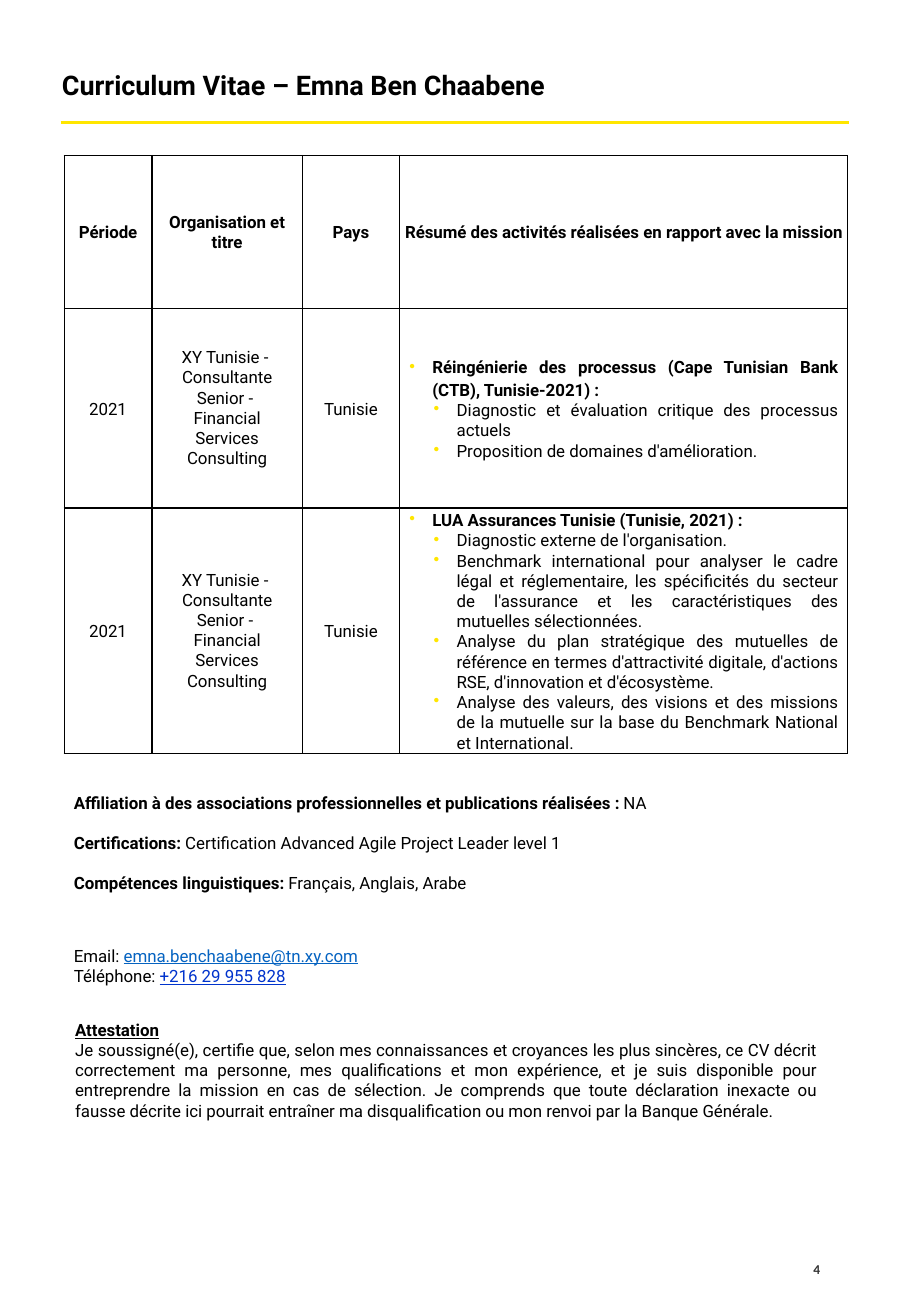
from dataclasses import dataclass
from typing import Any

from lxml.etree import SubElement as Sub
from pptx import Presentation
from pptx.dml.color import RGBColor as RGB
from pptx.enum.shapes import MSO_CONNECTOR as Link
from pptx.enum.text import MSO_ANCHOR as Anchor, MSO_AUTO_SIZE as Auto, PP_ALIGN as Align
from pptx.oxml.ns import qn
from pptx.util import Inches, Pt


@dataclass(frozen=True)
class Theme:
    font: str = "Roboto"
    foot: str = "Calibri"
    black: str = "000000"
    gray: str = "333333"
    gold: str = "FFE600"
    mail: str = "0563C1"
    phone: str = "0033CC"
    head: float = 16
    body: float = 10
    small: float = 8


T = Theme()


@dataclass(frozen=True)
class Run:
    text: str
    bold: bool = False
    line: bool = False
    color: str = T.black
    size: float = T.body
    font: str = T.font


@dataclass(frozen=True)
class Para:
    runs: tuple[Run, ...]
    align: Any = Align.JUSTIFY
    lead: Any = Pt(12)
    after: float = 0
    level: int = -1  # bullet level, -1 for none


@dataclass(frozen=True)
class Box:
    left: float
    top: float
    width: float
    height: float
    paras: tuple[Para, ...]
    inset: tuple[float, float] = (0.1, 0.05)
    anchor: Any = Anchor.TOP


def apply(item: Any, form: dict[str, Any]) -> None:
    for key, value in form.items():
        setattr(item, key, value)


def margins(side: float, edge: float) -> dict[str, Any]:
    return {"margin_left": Inches(side), "margin_right": Inches(side),
            "margin_top": Inches(edge), "margin_bottom": Inches(edge)}


def bullet(para: Any, level: int) -> None:
    para.level = level
    props = para._p.get_or_add_pPr()
    props.set("marL", str(Inches(0.19 + 0.2 * level)))
    props.set("indent", str(Inches(-0.19)))
    tint = Sub(props, qn("a:buClr"))
    Sub(tint, qn("a:srgbClr"), val=T.gold)
    Sub(props, qn("a:buChar"), char="•")


def write(frame: Any, paras: tuple[Para, ...]) -> None:
    for i, para in enumerate(paras):
        p = frame.add_paragraph() if i else frame.paragraphs[0]
        apply(p, {"alignment": para.align, "line_spacing": para.lead,
                  "space_before": Pt(0), "space_after": Pt(para.after)})
        if para.level >= 0:
            bullet(p, para.level)
        for run in para.runs:
            r = p.add_run()
            r.text = run.text
            apply(r.font, {"name": run.font, "size": Pt(run.size),
                           "bold": run.bold, "underline": run.line})
            r.font.color.rgb = RGB.from_string(run.color)


def place(shape: Any, box: Box) -> None:
    apply(shape, {"left": Inches(box.left), "top": Inches(box.top),
                  "width": Inches(box.width), "height": Inches(box.height)})
    frame = shape.text_frame
    apply(frame, {"word_wrap": True, "auto_size": Auto.NONE,
                  "vertical_anchor": box.anchor, **margins(*box.inset)})
    write(frame, box.paras)


def border(cell: Any) -> None:
    props = cell._tc.get_or_add_tcPr()
    for i, side in enumerate(("a:lnL", "a:lnR", "a:lnT", "a:lnB")):
        edge = Sub(props, qn(side), w=str(Pt(1)))
        Sub(Sub(edge, qn("a:solidFill")), qn("a:srgbClr"), val=T.black)
        props.insert(i, edge)


def center(*lines: str, bold: bool = False, lead: Any = Pt(12)) -> tuple[Para, ...]:
    return tuple(Para((Run(line, bold),), Align.CENTER, lead) for line in lines)


def tasks(name: str, *items: str) -> tuple[Para, ...]:
    first = Para((Run(name, True),), lead=1.15, level=0)
    return (first, *(Para((Run(item),), level=1) for item in items))


def label(name: str, value: str, after: float = 0) -> Para:
    return Para((Run(name, True), Run(value)), after=after)


def grid(slide: Any, rows: list[tuple]) -> None:
    widths, heights = (0.72, 1.24, 0.8, 3.69), (1.26, 1.64, 2.02)
    shape = slide.shapes.add_table(len(rows), len(widths), Inches(0.53), Inches(1.28),
                                   Inches(sum(widths)), Inches(sum(heights)))
    table = shape.table
    apply(table, {"first_row": False, "horz_banding": False})
    for col, width in zip(table.columns, widths):
        col.width = Inches(width)
    for i, (row, height) in enumerate(zip(table.rows, heights)):
        row.height = Inches(height)
        for j, (cell, paras) in enumerate(zip(row.cells, rows[i])):
            side = 0.02 if i == 0 else 0.08 if j == 3 else 0.07
            apply(cell, {"vertical_anchor": Anchor.MIDDLE, **margins(side, 0)})
            cell.fill.background()
            border(cell)
            write(cell.text_frame, paras)


# Table content
HEADS = ("Période", "Organisation et titre", "Pays",
         "Résumé des activités réalisées en rapport avec la mission")
POST = (center("2021", lead=1.15),
        center("XY Tunisie - ", "Consultante Senior - ", "Financial Services Consulting"),
        center("Tunisie", lead=1.15))
ROWS = [
    tuple(center(head, bold=True) for head in HEADS),
    (*POST, tasks("Réingénierie des processus (Cape Tunisian Bank (CTB), Tunisie-2021) : ",
                  "Diagnostic et évaluation critique des processus actuels",
                  "Proposition de domaines d'amélioration.")),
    (*POST, tasks("LUA Assurances Tunisie (Tunisie, 2021) :",
                  "Diagnostic externe de l'organisation.",
                  "Benchmark international pour analyser le cadre légal et réglementaire, les "
                  "spécificités du secteur de l'assurance et les caractéristiques des mutuelles "
                  "sélectionnées.",
                  "Analyse du plan stratégique des mutuelles de référence en termes "
                  "d'attractivité digitale, d'actions RSE, d'innovation et d'écosystème.",
                  "Analyse des valeurs, des visions et des missions de la mutuelle sur la base "
                  "du Benchmark National et International.")),
]

# Text blocks
TITLE = Box(0.51, 0.42, 6.49, 0.6, (
    Para((Run("Curriculum Vitae – Emna Ben Chaabene", True, size=T.head),), Align.LEFT, 0.85),
), (0, 0), Anchor.MIDDLE)
BOXES = (
    Box(0.51, 6.47, 6.46, 0.61, (
        label("Affiliation à des associations professionnelles et publications réalisées : ",
              "NA", after=12),
        label("Certifications: ", "Certification Advanced Agile Project Leader level 1"))),
    Box(0.51, 7.13, 6.46, 0.27, (
        label("Compétences linguistiques: ", "Français, Anglais, Arabe"),)),
    Box(0.51, 7.73, 6.46, 0.44, (
        Para((Run("Email: "), Run("emna.benchaabene@tn.xy.com", line=True, color=T.mail))),
        Para((Run("Téléphone: "), Run("+216 29 955 828", line=True, color=T.phone))))),
    Box(0.52, 8.34, 6.3, 1.11, (
        Para((Run("Attestation", True, True),), Align.LEFT),
        Para((Run(
            "Je soussigné(e), certifie que, selon mes connaissances et croyances les plus "
            "sincères, ce CV décrit correctement ma personne, mes qualifications et mon "
            "expérience, et je suis disponible pour entreprendre la mission en cas de "
            "sélection. Je comprends que toute déclaration inexacte ou fausse décrite ici "
            "pourrait entraîner ma disqualification ou mon renvoi par la Banque Générale."),)))),
    Box(6.46, 10.38, 0.53, 0.13, (
        Para((Run("4", True, color=T.gray, size=T.small, font=T.foot),), Align.CENTER, 1.0),
    ), (0, 0), Anchor.MIDDLE),
)


def main() -> None:
    deck = Presentation()
    apply(deck, {"slide_width": Inches(7.5), "slide_height": Inches(10.83)})
    slide = deck.slides.add_slide(deck.slide_layouts[5])

    # Title and rule
    place(slide.shapes.title, TITLE)
    rule = slide.shapes.add_connector(Link.STRAIGHT, Inches(0.5), Inches(1.01),
                                      Inches(6.99), Inches(1.01))
    rule.line.color.rgb = RGB.from_string(T.gold)
    rule.line.width = Pt(1.5)
    Sub(rule._element.spPr, qn("a:effectLst"))

    # Missions, then the remaining text
    grid(slide, ROWS)
    for box in BOXES:
        place(slide.shapes.add_textbox(0, 0, 0, 0), box)
    deck.save("out.pptx")


if __name__ == "__main__":
    main()
